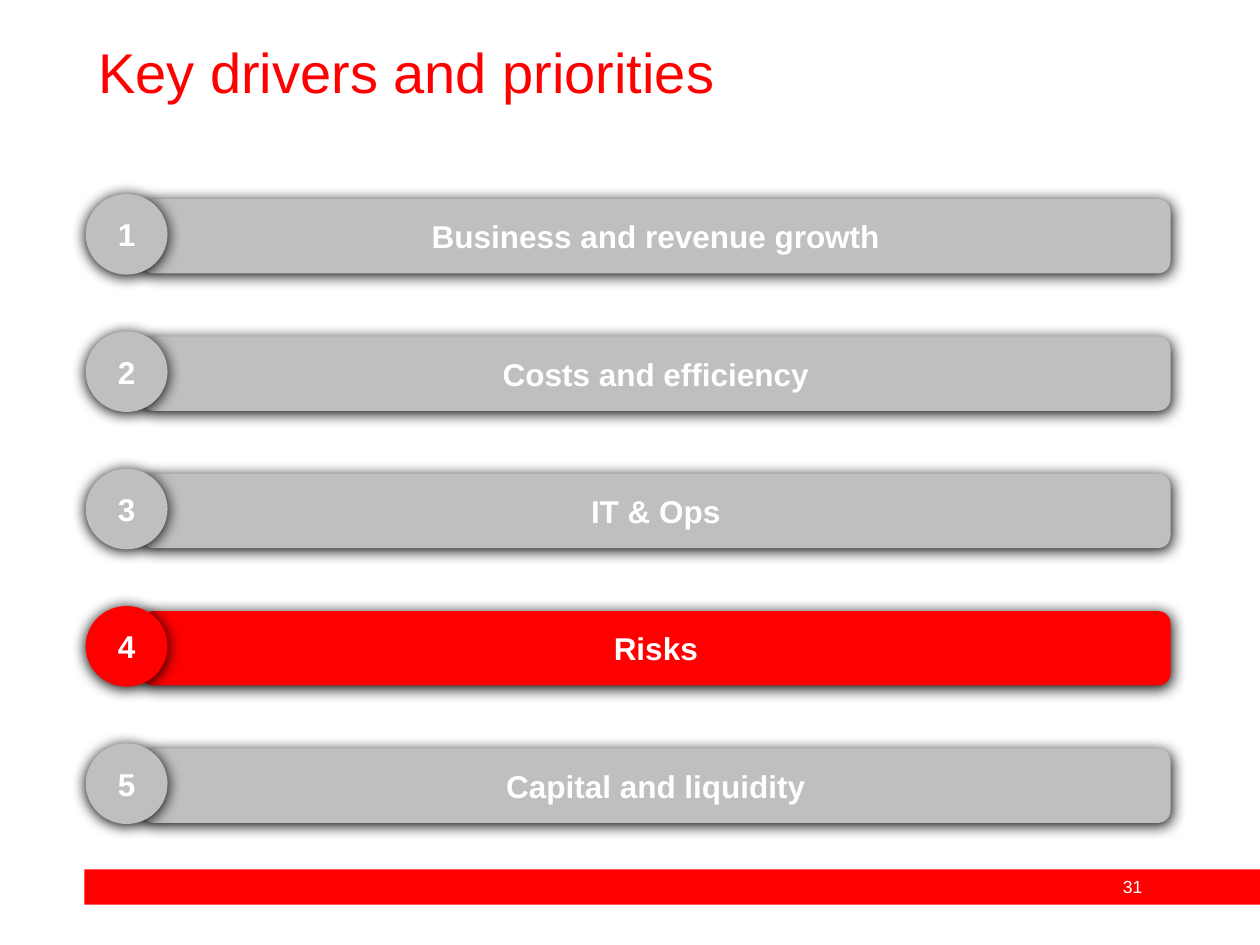
import pptx
import pptx.util
import pptx.dml.color
import pptx.enum.shapes
import pptx.enum.text
import pptx.oxml
import pptx.oxml.ns
from pptx.util import Inches

COLORS = {"accent": "FF0000", "muted": "BFBFBF", "white": "FFFFFF", "shadow": "000000"}
DRIVERS = [
    "Business and revenue growth",
    "Costs and efficiency",
    "IT & Ops",
    "Risks",
    "Capital and liquidity",
]
ACTIVE = 4
ROW_PITCH = 1.09
SHAPE = pptx.enum.shapes.MSO_SHAPE
ALIGN = pptx.enum.text.PP_ALIGN
ANCHOR = pptx.enum.text.MSO_ANCHOR


def rgb(name):
    return pptx.dml.color.RGBColor.from_string(COLORS[name])


def write(sp, text, size, color, align, anchor, bold=False):
    tf = sp.text_frame
    tf.word_wrap = True
    tf.vertical_anchor = anchor
    tf.text = text
    p = tf.paragraphs[0]
    p.alignment = align
    r = p.runs[0]
    r.font.name = "Arial"
    r.font.size = pptx.util.Pt(size)
    r.font.bold = bold
    r.font.color.rgb = rgb(color)
    return p


def add_block(shapes, kind, x, y, w, h, fill):
    sp = shapes.add_shape(kind, Inches(x), Inches(y), Inches(w), Inches(h))
    sp.shadow.inherit = False
    sp.fill.solid()
    sp.fill.fore_color.rgb = rgb(fill)
    sp.line.fill.background()
    return sp


def add_shadow(sp):
    effects = sp._element.spPr.find(pptx.oxml.ns.qn("a:effectLst"))
    blur, dist = pptx.util.Pt(8.5), pptx.util.Pt(1)
    effects.append(pptx.oxml.parse_xml(
        f'<a:outerShdw {pptx.oxml.ns.nsdecls("a")} blurRad="{blur}" dist="{dist}" '
        f'dir="5400000" algn="t" rotWithShape="0">'
        f'<a:srgbClr val="{COLORS["shadow"]}"/></a:outerShdw>'))


def add_title(s, x, y, w, h):
    sp = s.shapes.add_textbox(Inches(x), Inches(y), Inches(w), Inches(h))
    p = write(sp, "Key drivers and priorities", 32, "accent", ALIGN.LEFT, ANCHOR.TOP)
    p.line_spacing = 0.9


def add_driver(s, x, y, w, number, label):
    fill = "accent" if number == ACTIVE else "muted"
    group = s.shapes.add_group_shape()
    bar = add_block(group.shapes, SHAPE.ROUNDED_RECTANGLE, x + 0.44, y + 0.04, w - 0.44, 0.59, fill)
    badge = add_block(group.shapes, SHAPE.OVAL, x, y, 0.65, 0.64, fill)
    for sp, text in ((bar, label), (badge, str(number))):
        add_shadow(sp)
        write(sp, text, 18, "white", ALIGN.CENTER, ANCHOR.MIDDLE, True)


def add_footer(s, x, y, w, h):
    add_block(s.shapes, SHAPE.RECTANGLE, x, y, w, h, "accent")
    sp = s.shapes.add_textbox(Inches(x + 8.04), Inches(y), Inches(0.56), Inches(0.27))
    write(sp, "31", 10, "white", ALIGN.CENTER, ANCHOR.TOP)


def main():
    prs = pptx.Presentation()
    prs.slide_width, prs.slide_height = Inches(10), Inches(7.5)
    s = prs.slides.add_slide(prs.slide_layouts[6])
    add_footer(s, 0.67, 6.9, 9.33, 0.28)
    add_title(s, 0.68, 0.31, 8.62, 0.57)
    for i, label in enumerate(DRIVERS):
        add_driver(s, 0.68, 1.54 + i * ROW_PITCH, 8.61, i + 1, label)
    prs.save("out.pptx")


if __name__ == "__main__":
    main()
